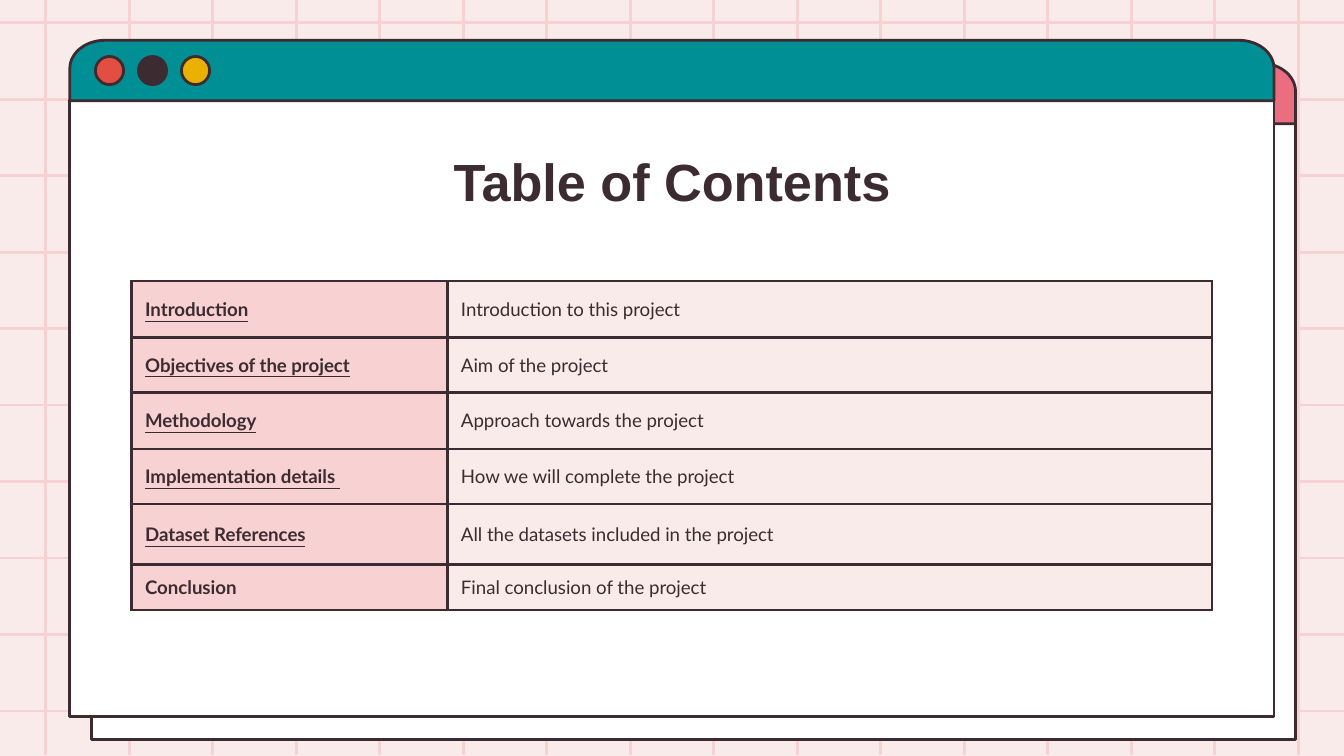
"""Build a table of contents slide framed by two stacked browser windows."""
from math import cos, radians, sin

from lxml import etree
from pptx import Presentation
from pptx.dml.color import RGBColor
from pptx.enum.shapes import MSO_CONNECTOR, MSO_SHAPE
from pptx.enum.text import MSO_ANCHOR, PP_ALIGN
from pptx.oxml.ns import qn
from pptx.util import Inches, Pt

STRAIGHT = MSO_CONNECTOR.STRAIGHT
RECT, OVAL = MSO_SHAPE.RECTANGLE, MSO_SHAPE.OVAL
MIDDLE, CENTER = MSO_ANCHOR.MIDDLE, PP_ALIGN.CENTER

COLORS = {
    "ink": "3C2C31", "page": "FAEBEB", "blush": "F8D2D2", "white": "FFFFFF",
    "teal": "008F95", "rose": "EB6E80", "red": "E24E42", "yellow": "E9B000",
}
RGB = {name: RGBColor.from_string(value) for name, value in COLORS.items()}


def style_shape(sp, fill):
    sp.shadow.inherit = False
    sp.fill.solid()
    sp.fill.fore_color.rgb = RGB[fill]
    sp.line.color.rgb = RGB["ink"]
    sp.line.width = Pt(1.5)


def write_text(tf, text, formats):
    p = tf.paragraphs[0]
    r = p.add_run()
    r.text = text
    for name, value in formats.items():
        setattr(r.font, name, value)
    r.font.color.rgb = RGB["ink"]
    return p


prs = Presentation()
prs.slide_width = Inches(10)
prs.slide_height = Inches(10 * 9 / 16)
s = prs.slides.add_slide(prs.slide_layouts[6])
s.background.fill.solid()
s.background.fill.fore_color.rgb = RGB["page"]

columns = [0.34 + i * 9.32 / 15 for i in range(16)]
rows = [0.17 + i * 5.12 / 9 for i in range(10)]
grid = [(x, 0, x, 5.62) for x in columns] + [(0, y, 10, y) for y in rows]
for ends in grid:
    line = s.shapes.add_connector(STRAIGHT, *[Inches(v) for v in ends])
    line.line.color.rgb = RGB["blush"]
    line.line.width = Pt(1.5)
    etree.SubElement(line._element.spPr, qn("a:effectLst"))

WIDTH, BAR, BODY = 8.96, 0.45, 4.58
RX, RY = 0.26, 0.21
for left, top, bar_color in [(0.68, 0.47, "rose"), (0.52, 0.3, "teal")]:
    body = s.shapes.add_shape(RECT, Inches(left), Inches(top + BAR),
                              Inches(WIDTH), Inches(BODY))
    style_shape(body, "white")

    points = [(left, top + BAR)]
    for center, start in [(left + RX, 180), (left + WIDTH - RX, 270)]:
        for angle in range(start, start + 91, 6):
            points.append((center + RX * cos(radians(angle)),
                           top + RY + RY * sin(radians(angle))))
    points.append((left + WIDTH, top + BAR))
    points = [(Inches(x), Inches(y)) for x, y in points]
    builder = s.shapes.build_freeform(*points[0])
    builder.add_line_segments(points[1:], close=True)
    style_shape(builder.convert_to_shape(), bar_color)

    for i, color in enumerate(["red", "ink", "yellow"]):
        button = s.shapes.add_shape(OVAL, Inches(left + 0.19 + i * 0.32),
                                    Inches(top + 0.12), Inches(0.21), Inches(0.21))
        style_shape(button, color)

title = s.shapes.add_textbox(Inches(0.98), Inches(1.03), Inches(8.04), Inches(0.63))
tf = title.text_frame
margins = ["margin_left", "margin_top", "margin_right", "margin_bottom"]
for name in margins:
    setattr(tf, name, Inches(0.1))
tf.vertical_anchor = MIDDLE
tf.word_wrap = True
p = write_text(tf, "Table of Contents", {"name": "Arial", "size": Pt(28), "bold": True})
p.alignment = CENTER

contents = [
    ("Introduction", "Introduction to this project", 0.42),
    ("Objectives of the project", "Aim of the project", 0.41),
    ("Methodology", "Approach towards the project", 0.42),
    ("Implementation details ", "How we will complete the project", 0.41),
    ("Dataset References", "All the datasets included in the project", 0.45),
    ("Conclusion", "Final conclusion of the project", 0.34),
]
table = s.shapes.add_table(len(contents), 2, Inches(0.98), Inches(2.09),
                           Inches(8.04), Inches(2.45)).table
table.first_row = table.horz_banding = False
for column, width in zip(table.columns, [2.35, 5.69]):
    column.width = Inches(width)

for i, (topic, description, height) in enumerate(contents):
    table.rows[i].height = Inches(height)
    for j, text in enumerate([topic, description]):
        cell = table.cell(i, j)
        cell.vertical_anchor = MIDDLE
        for name, margin in zip(margins, [0.1, 0, 0.1, 0]):
            setattr(cell, name, Inches(margin))
        tcPr = cell._tc.get_or_add_tcPr()
        for side in ["lnL", "lnR", "lnT", "lnB"]:
            ln = etree.SubElement(tcPr, qn(f"a:{side}"), w=str(Pt(1.5)))
            fill = etree.SubElement(ln, qn("a:solidFill"))
            etree.SubElement(fill, qn("a:srgbClr"), val=COLORS["ink"])
        cell.fill.solid()
        cell.fill.fore_color.rgb = RGB["page" if j else "blush"]
        write_text(cell.text_frame, text, {
            "name": "Lato", "size": Pt(10), "bold": j == 0,
            "underline": j == 0 and topic != "Conclusion",
        })

prs.save("out.pptx")
